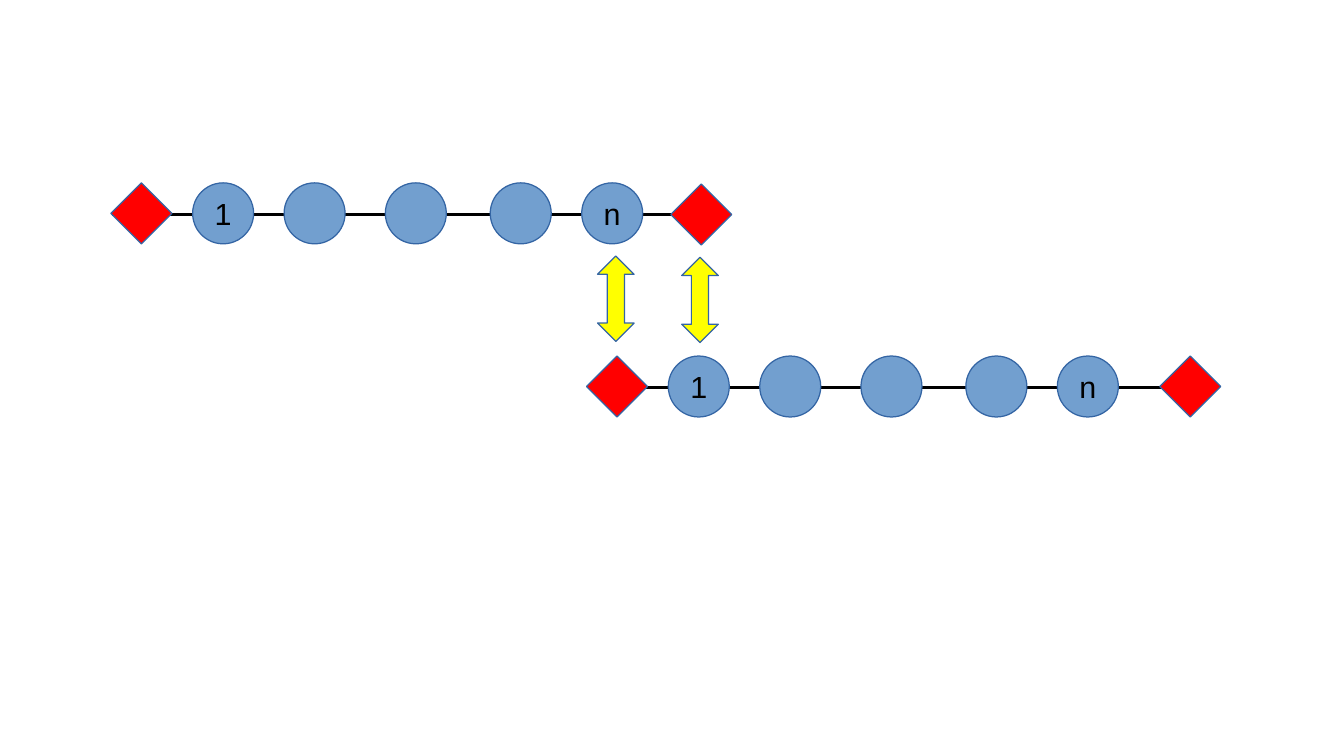
from lxml import etree
from pptx import Presentation
from pptx.dml.color import RGBColor
from pptx.enum.shapes import MSO_CONNECTOR, MSO_SHAPE
from pptx.enum.text import MSO_ANCHOR, PP_ALIGN
from pptx.oxml.ns import qn
from pptx.util import Inches, Pt

BLACK = RGBColor(0x00, 0x00, 0x00)
RED = RGBColor(0xFF, 0x00, 0x00)
BLUE = RGBColor(0x72, 0x9F, 0xCF)
YELLOW = RGBColor(0xFF, 0xFF, 0x00)
OUTLINE = RGBColor(0x34, 0x65, 0xA4)

CELL = 0.5
NODES = [(1.34, "1"), (2.84, ""), (4.5, ""), (6.22, ""), (7.72, "n")]
CHAINS = [(1.82, 3, 9.18, 0.02), (9.62, 5.84, 9.4, 0)]
ARROWS = [(9.8, 4.2), (11.18, 4.22)]


def grid(cells):
    return Inches(cells * CELL)


def add_text(shape, text, size=18, font="Arial", color=BLACK):
    tf = shape.text_frame
    tf.word_wrap = False
    tf.vertical_anchor = MSO_ANCHOR.MIDDLE
    p = tf.paragraphs[0]
    p.alignment = PP_ALIGN.CENTER
    r = p.add_run()
    r.text = text
    r.font.size = Pt(size)
    r.font.name = font
    r.font.color.rgb = color


def add_figure(s, kind, col, row, fill, cols=1, rows=1):
    sp = s.shapes.add_shape(kind, grid(col), grid(row), grid(cols), grid(rows))
    sp.shadow.inherit = False
    sp.fill.solid()
    sp.fill.fore_color.rgb = fill
    sp.line.color.rgb = OUTLINE
    sp.line.width = Pt(0)
    return sp


def add_axis(s, col, row, cols):
    y = grid(row)
    line = s.shapes.add_connector(
        MSO_CONNECTOR.STRAIGHT, grid(col), y, grid(col + cols), y)
    line.line.color.rgb = BLACK
    line.line.width = Pt(0)
    etree.SubElement(line._element.spPr, qn("a:effectLst"))


def add_chain(s, col, row, end, drop):
    add_axis(s, col + 0.02, row + 0.52, 9.5)
    add_figure(s, MSO_SHAPE.DIAMOND, col, row, RED)
    for offset, label in NODES:
        node = add_figure(s, MSO_SHAPE.OVAL, col + offset, row, BLUE)
        if label:
            add_text(node, label)
    add_figure(s, MSO_SHAPE.DIAMOND, col + end, row + drop, RED)


def add_arrow(s, col, row):
    arrow = add_figure(s, MSO_SHAPE.UP_DOWN_ARROW, col, row, YELLOW, 0.6, 1.4)
    arrow.adjustments[0] = 0.5
    arrow.adjustments[1] = 0.47


def main():
    prs = Presentation()
    prs.slide_width = Inches(11.02)
    prs.slide_height = Inches(6.2)
    s = prs.slides.add_slide(prs.slide_layouts[6])
    for chain in CHAINS:
        add_chain(s, *chain)
    for arrow in ARROWS:
        add_arrow(s, *arrow)
    prs.save("out.pptx")


if __name__ == "__main__":
    main()
